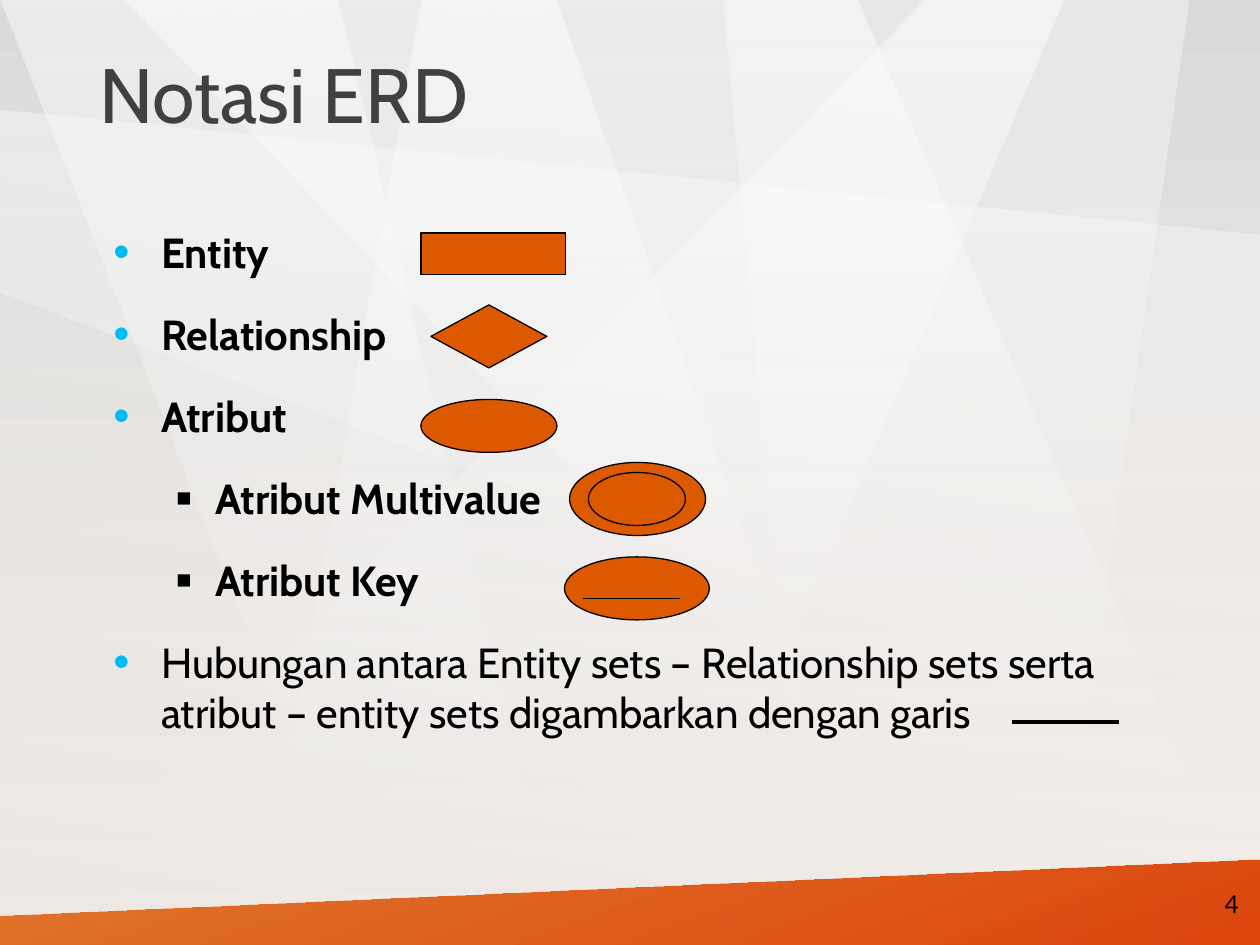
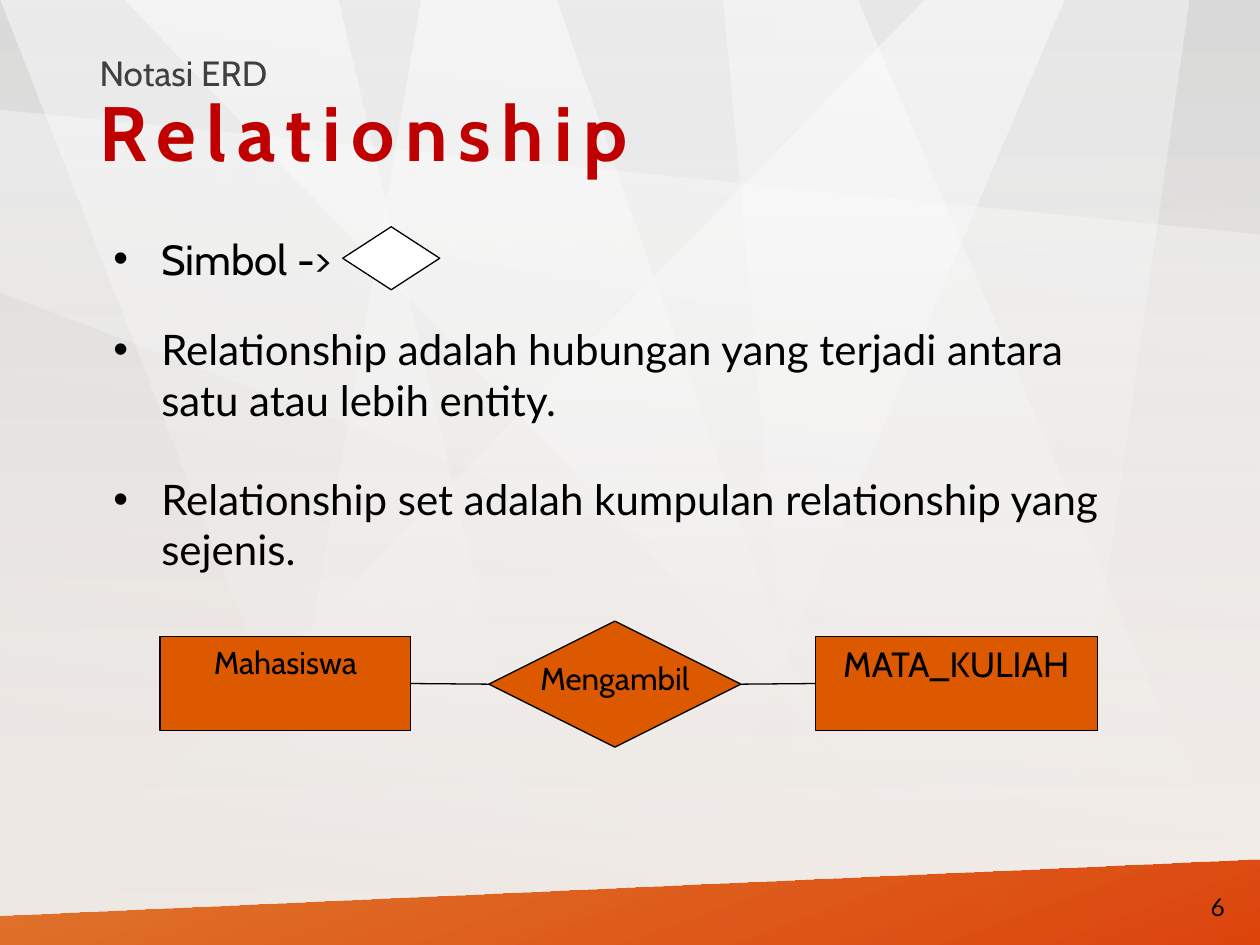
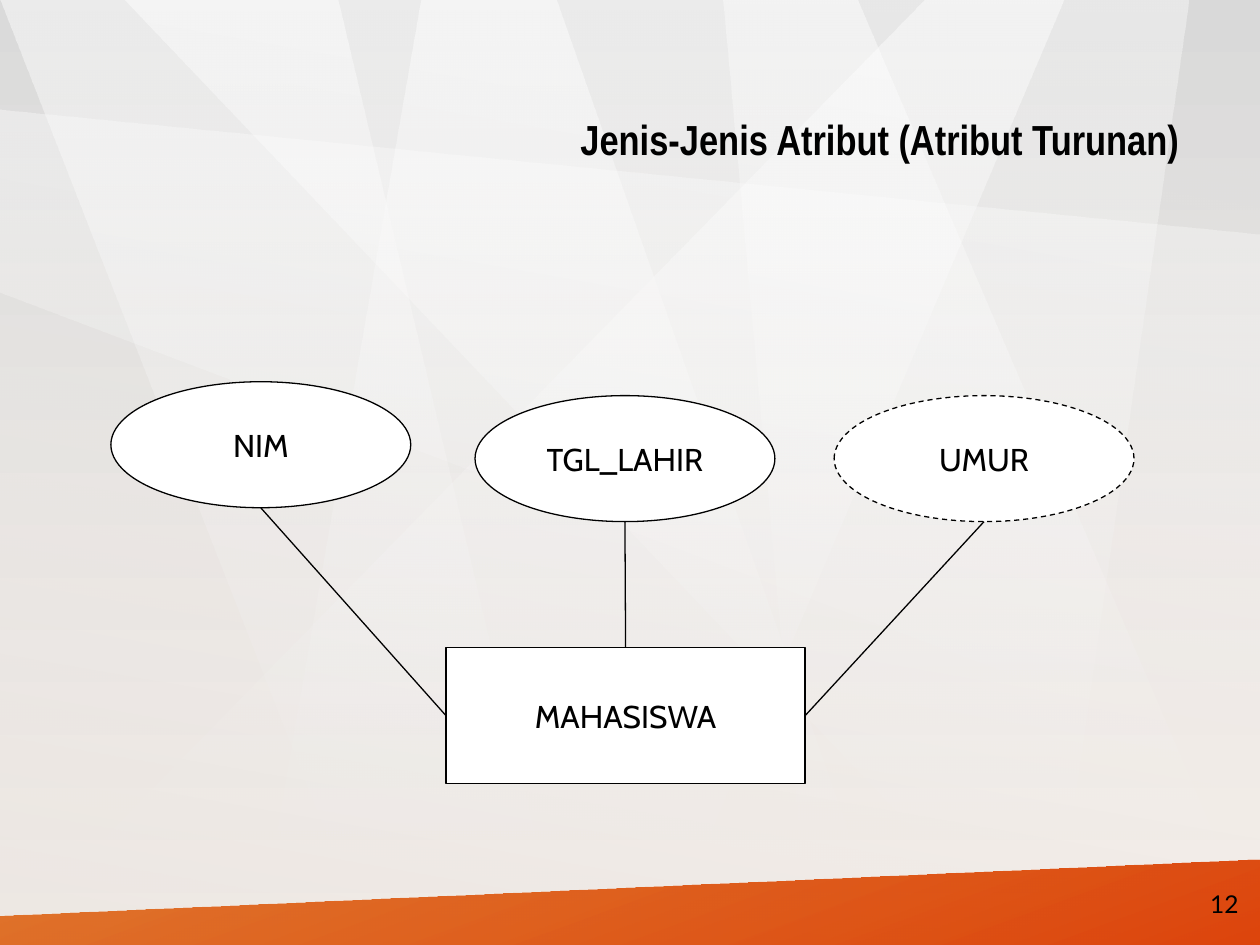
from lxml import etree
from pptx import Presentation
from pptx import util as u
from pptx.dml.color import RGBColor
from pptx.enum import dml, shapes, text
from pptx.oxml.ns import qn

ORANGE, WHITE, BLACK = "DD5900", "FFFFFF", "000000"
GREY, RED, CYAN = "404040", "C00000", "00BCF2"
SHAPE, ALIGN, ANCHOR = shapes.MSO_SHAPE, text.PP_ALIGN, text.MSO_ANCHOR
TITLE_AND_CONTENT, TITLE_ONLY = 1, 5

# Light beams behind every slide: outline and opacity at the top
BEAMS = [
    ([(7.34, 0), (0, 7.5), (5.26, 7.5), (8.44, 0)], 50),
    ([(0, 0), (2.68, 0), (4.45, 7.5), (2.93, 7.5)], 50),
    ([(0.99, 0), (6.8, 0), (10, 7.5), (8.12, 7.5)], 50),
    ([(5.74, 0), (6.42, 7.5), (8.36, 7.5), (9.43, 0)], 40),
    ([(4.41, 0), (3.34, 0), (2.04, 7.5), (7.04, 7.5)], 50),
    ([(0, 0.87), (10, 1.86), (10, 6.1), (0, 2.32)], 40),
]
BAND = [(0, 7.27), (10, 6.82), (10, 7.5), (0, 7.5)]


def rgb(value):
    return RGBColor.from_string(value)


def write(paragraph, words, font="Cabin", size=24, color=BLACK, bold=False,
          align=ALIGN.LEFT, spacing=None, line=None, before=0, after=0):
    """Add a formatted run; spacing is the letter spacing in points."""
    paragraph.alignment = align
    paragraph.space_before, paragraph.space_after = u.Pt(before), u.Pt(after)
    if line:
        paragraph.line_spacing = line
    run = paragraph.add_run()
    run.text = words
    run.font.name, run.font.size, run.font.bold = font, u.Pt(size), bold
    run.font.color.rgb = rgb(color)
    if spacing:
        run.font._element.set("spc", str(spacing * 100))


def bullet(paragraph, char="•", color=BLACK, percent=100, margin=0.38, hanging=0.38):
    props = paragraph._p.get_or_add_pPr()
    props.set("marL", str(u.Inches(margin)))
    props.set("indent", str(-u.Inches(hanging)))
    mark_color = etree.SubElement(props, qn("a:buClr"))
    etree.SubElement(mark_color, qn("a:srgbClr"), val=color)
    etree.SubElement(props, qn("a:buSzPct"), val=str(percent * 1000))
    etree.SubElement(props, qn("a:buFont"), typeface="Arial")
    etree.SubElement(props, qn("a:buChar"), char=char)


def gradient(fill, element, stops, angle):
    """Fill with (colour, opacity) stops; the angle runs clockwise."""
    fill.gradient()
    fill.gradient_angle = 360 - angle
    for stop, (color, _) in zip(fill.gradient_stops, stops):
        stop.color.rgb = rgb(color)
    for node, (_, opacity) in zip(element.iter(qn("a:srgbClr")), stops):
        if opacity < 100:
            etree.SubElement(node, qn("a:alpha"), val=str(opacity * 1000))


class Deck:
    def __init__(self):
        self.prs = Presentation()
        self.prs.slide_width, self.prs.slide_height = u.Inches(10), u.Inches(7.5)
        self.slide = None

    def new_slide(self, layout, number, number_at=(9.12, 6.97)):
        self.slide = self.prs.slides.add_slide(self.prs.slide_layouts[layout])
        if len(self.prs.slides) == 1:
            self.backdrop()
        box = self.slide.shapes.add_textbox(*map(u.Inches, (*number_at, 0.81, 0.4)))
        self.frame(box, ANCHOR.MIDDLE)
        write(box.text_frame.paragraphs[0], number, font="Lato", size=14, align=ALIGN.RIGHT)

    def backdrop(self):
        """Draw the shared background and move it into the slide master."""
        master = self.prs.slide_master
        fill = master.background.fill
        background = master.element.find(qn("p:cSld")).find(qn("p:bg"))
        gradient(fill, background, [("D9D9D9", 50), ("FCF5EF", 100)], 90)
        parts = [self.outline(points, [(WHITE, top), (WHITE, 0)], 90) for points, top in BEAMS]
        page = [(0, 0), (10, 0), (10, 7.5), (0, 7.5)]
        parts.append(self.outline(page, [("BFBFBF", 25), (WHITE, 0)], 280))
        parts.append(self.outline(BAND, [(ORANGE, 80), ("DC3C00", 95)], 70))
        for order, part in enumerate(parts):
            part.element.nvSpPr.cNvPr.set("id", str(100 + order))
            master.shapes.element.insert(2 + order, part.element)

    def outline(self, points, stops, angle):
        start, *rest = [(u.Inches(x), u.Inches(y)) for x, y in points]
        builder = self.slide.shapes.build_freeform(*start)
        builder.add_line_segments(rest, close=True)
        part = builder.convert_to_shape()
        part.shadow.inherit = False
        part.line.fill.background()
        gradient(part.fill, part.element.spPr, stops, angle)
        return part

    def frame(self, holder, anchor=ANCHOR.TOP, wrap=True):
        frame = holder.text_frame
        frame.word_wrap, frame.vertical_anchor = wrap, anchor
        frame.auto_size = text.MSO_AUTO_SIZE.NONE
        return frame

    def place(self, holder, lines, at, wrap=True):
        """Move a placeholder and yield a paragraph with each line."""
        holder.left, holder.top, holder.width, holder.height = map(u.Inches, at)
        frame = self.frame(holder, wrap=wrap)
        for index, line in enumerate(lines):
            yield (frame.add_paragraph() if index else frame.paragraphs[0]), line

    def title(self, lines, at=(0.69, 0.4, 8.62, 0.85), wrap=True):
        for paragraph, (words, style) in self.place(self.slide.shapes.title, lines, at, wrap):
            write(paragraph, words, **style)

    def bullets(self, lines, at):
        body = self.slide.placeholders[1]
        for paragraph, (words, level, style, mark) in self.place(body, lines, at):
            paragraph.level = level
            write(paragraph, words, **style)
            bullet(paragraph, **mark)

    def symbol(self, kind, at, label="", fill=ORANGE, size=18, anchor=ANCHOR.TOP, dashed=False):
        part = self.slide.shapes.add_shape(kind, *map(u.Inches, at))
        part.shadow.inherit = False
        part.fill.solid()
        part.fill.fore_color.rgb = rgb(fill)
        part.line.color.rgb, part.line.width = rgb(BLACK), u.Pt(0.75)
        if dashed:
            part.line.dash_style = dml.MSO_LINE.DASH
        if label:
            frame = self.frame(part, anchor, wrap=False)
            write(frame.paragraphs[0], label, size=size, align=ALIGN.CENTER)
        return part

    def line(self, begin=(0, 0), end=(0, 0), weight=0.75, begin_join=None, end_join=None):
        """Draw a line; a join is (shape, side) and replaces that end's point."""
        link = self.slide.shapes.add_connector(
            shapes.MSO_CONNECTOR.STRAIGHT, *map(u.Inches, (*begin, *end)))
        if begin_join:
            link.begin_connect(*begin_join)
        if end_join:
            link.end_connect(*end_join)
        link.line.color.rgb, link.line.width = rgb(BLACK), u.Pt(weight)
        etree.SubElement(link._element.spPr, qn("a:effectLst"))


def notation_slide(deck):
    deck.new_slide(TITLE_AND_CONTENT, "4")
    deck.title([("Notasi ERD", dict(size=44, color=GREY, line=0.9))])

    # List of notations
    strong, plain = dict(bold=True, after=18), dict(after=18)
    dot = dict(color=CYAN, percent=110)
    square = dict(char="■", percent=60, margin=0.81, hanging=0.31)
    deck.bullets([
        ("Entity", 0, strong, dot),
        ("Relationship", 0, strong, dot),
        ("Atribut", 0, strong, dot),
        ("Atribut Multivalue", 1, strong, square),
        ("Atribut Key", 1, strong, square),
        ("Hubungan antara Entity sets – Relationship sets serta atribut – "
         "entity sets digambarkan dengan garis", 0, plain, dot),
    ], at=(0.8, 1.75, 8.08, 5))

    # Symbol beside each notation
    for kind, at in [
        (SHAPE.RECTANGLE, (3.34, 1.85, 1.15, 0.33)),
        (SHAPE.FLOWCHART_DECISION, (3.42, 2.42, 0.92, 0.5)),
        (SHAPE.OVAL, (3.34, 3.17, 1.08, 0.42)),
        (SHAPE.OVAL, (4.52, 3.67, 1.08, 0.58)),
        (SHAPE.OVAL, (4.67, 3.75, 0.77, 0.42)),
        (SHAPE.OVAL, (4.48, 4.42, 1.15, 0.5)),
    ]:
        deck.symbol(kind, at)
    deck.line((4.63, 4.75), (5.4, 4.75))
    deck.line((8.03, 5.73), (8.88, 5.73), weight=2.25)


def relationship_slide(deck):
    deck.new_slide(TITLE_AND_CONTENT, "6", number_at=(9.01, 7))
    deck.title([
        ("Notasi ERD", dict(size=20, color=GREY, line=0.9)),
        ("Relationship", dict(size=44, color=RED, bold=True, spacing=6, line=0.9)),
    ])
    deck.bullets([
        ("Simbol ->", 0, {}, {}),
        ("Relationship adalah hubungan yang terjadi antara satu atau lebih entity.",
         0, dict(font="Lato", before=23), {}),
        ("Relationship set adalah kumpulan relationship yang sejenis.",
         0, dict(font="Lato", before=28), {}),
    ], at=(0.8, 1.8, 8.19, 4.5))
    deck.symbol(SHAPE.FLOWCHART_DECISION, (2.72, 1.8, 0.77, 0.5), fill=WHITE)

    # Example: student takes course
    student = deck.symbol(SHAPE.RECTANGLE, (1.27, 5.05, 1.99, 0.75), "Mahasiswa")
    takes = deck.symbol(SHAPE.DIAMOND, (3.88, 4.93, 2, 1), "Mengambil")
    course = deck.symbol(SHAPE.RECTANGLE, (6.47, 5.05, 2.24, 0.75), "MATA_KULIAH", size=20)
    deck.line(begin_join=(student, 3), end_join=(takes, 1))
    deck.line(begin_join=(takes, 3), end_join=(course, 1))


def derived_attribute_slide(deck):
    deck.new_slide(TITLE_ONLY, "12")
    deck.title([("Jenis-Jenis Atribut (Atribut Turunan)",
                 dict(font="Arial Narrow", bold=True, align=ALIGN.RIGHT))],
               at=(4.46, 0.85, 5, 0.5), wrap=False)

    # Entity with its attributes; the dashed one is derived
    style = dict(fill=WHITE, anchor=ANCHOR.MIDDLE)
    student = deck.symbol(SHAPE.RECTANGLE, (3.54, 5.14, 2.85, 1.08), "MAHASISWA", **style)
    width, height = 2.38, 1
    for label, left, top, side in [
        ("NIM", 0.88, 3.03, 1), ("TGL_LAHIR", 3.77, 3.14, 0), ("UMUR", 6.62, 3.14, 3),
    ]:
        deck.symbol(SHAPE.OVAL, (left, top, width, height), label,
                    dashed=label == "UMUR", **style)
        deck.line(begin=(left + width / 2, top + height), end_join=(student, side))


def main():
    deck = Deck()
    notation_slide(deck)
    relationship_slide(deck)
    derived_attribute_slide(deck)
    deck.prs.save("out.pptx")


if __name__ == "__main__":
    main()
